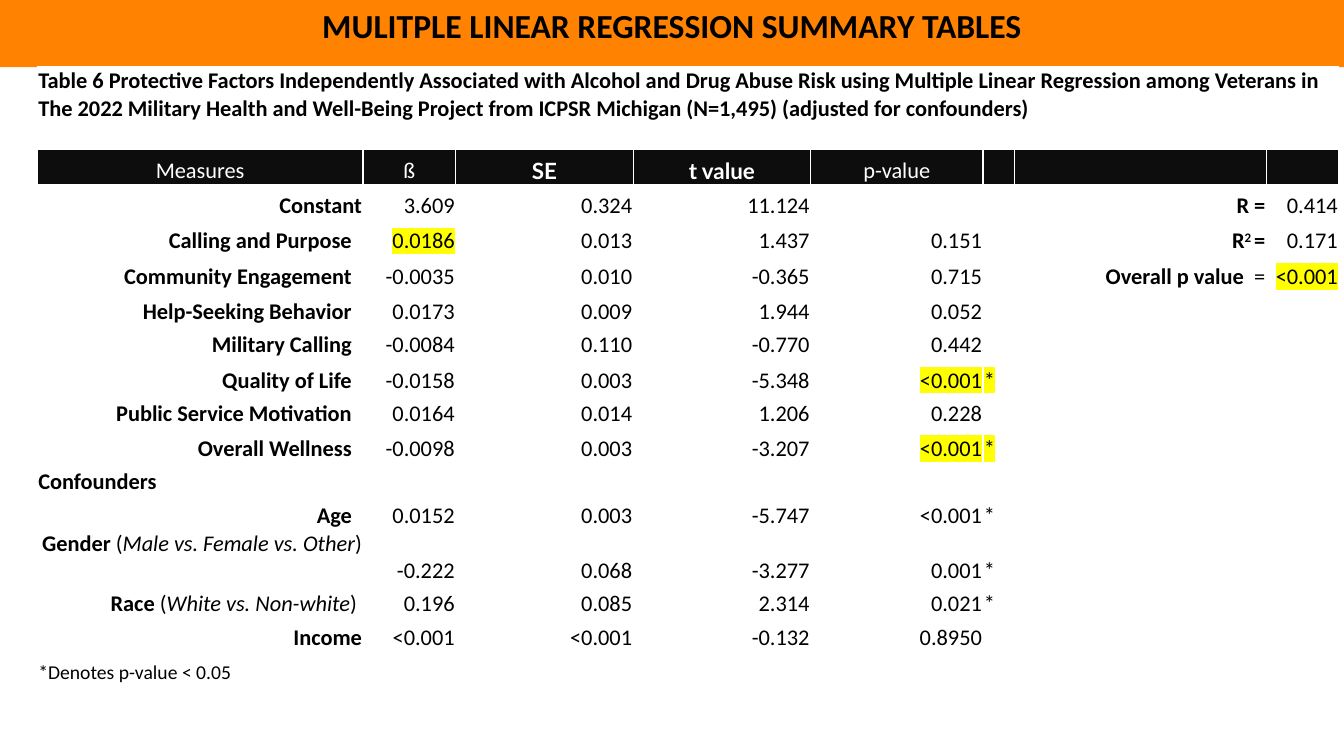
from lxml.etree import SubElement
from pptx import Presentation
from pptx.dml.color import RGBColor
from pptx.enum.text import MSO_ANCHOR as Anchor, MSO_AUTO_SIZE as AutoSize, PP_ALIGN as Align
from pptx.oxml import parse_xml
from pptx.oxml.ns import nsdecls, qn
from pptx.util import Pt

TITLE = "MULITPLE LINEAR REGRESSION SUMMARY TABLES"
CAPTION = (
    "Table 6 Protective Factors Independently Associated with Alcohol and Drug Abuse Risk "
    "using Multiple Linear Regression among Veterans in The 2022 Military Health and "
    "Well-Being Project from ICPSR Michigan (N=1,495) (adjusted for confounders)"
)
FOOTNOTE = "*Denotes p-value < 0.05"
HEADINGS = ["Measures", "ß", "SE", "t value", "p-value"]
LATO_HEADINGS = ("SE", "t value")

# Style letters: b bold, i italic, h highlighted, ^ superscript
GENDER = [("Gender ", "b"), ("(", ""), ("Male vs. Female vs. Other", "i"), (")", "")]
RACE = [("Race", "b"), (" (", ""), ("White vs. Non-white", "i"), (")", "")]

# Label, gap to the right of the label, then ß, SE, t value, p-value, star
MEASURES = [
    ("Constant", 0, "3.609", "0.324", "11.124"),
    ("Calling and Purpose", 10, [("0.0186", "h")], "0.013", "1.437", "0.151"),
    ("Community Engagement", 10, "-0.0035", "0.010", "-0.365", "0.715"),
    ("Help-Seeking Behavior", 10, "0.0173", "0.009", "1.944", "0.052"),
    ("Military Calling", 10, "-0.0084", "0.110", "-0.770", "0.442"),
    ("Quality of Life", 10, "-0.0158", "0.003", "-5.348", [("<0.001", "h")], [("*", "h")]),
    ("Public Service Motivation", 10, "0.0164", "0.014", "1.206", "0.228"),
    ("Overall Wellness", 10, "-0.0098", "0.003", "-3.207", [("<0.001", "h")], [("*", "h")]),
    ("Confounders", 0),
    ("Age", 10, "0.0152", "0.003", "-5.747", "<0.001", "*"),
    (GENDER, 0, "-0.222", "0.068", "-3.277", "0.001", "*"),
    (RACE, 5, "0.196", "0.085", "2.314", "0.021", "*"),
    ("Income", 0, "<0.001", "<0.001", "-0.132", "0.8950"),
]
MODEL_FIT = [
    ([("R =", "b")], "0.414"),
    ([("R", "b"), ("2 ", "b^"), ("=", "b")], "0.171"),
    ([("Overall p value ", "b"), (" =", "")], [("<0.001", "h")]),
]

COLORS = {"banner": "FF8300", "header": "0D0D0D", "paper": "FFFFFF",
          "ink": "000000", "mark": "FFFF00"}
PX = 9144  # EMU, 100 px to the inch
SLIDE = (1333, 750)
BANNER = (0, 0, 1333, 50)
TABLE_AT = (37, 66)
COLUMNS = [323, 92, 176, 176, 171, 31, 250, 72]
ROWS = [82, 35, 35, 35, 35, 35, 33, 35, 33, 35, 33, 33, 55, 33, 33, 33, 59]
FIRST_MEASURE = 2
STAR_COLUMN, FIT_COLUMN = 5, 6


def rgb(name):
    return RGBColor.from_string(COLORS[name])


def add_span(para, text, style="", size=16, font="Calibri", color="ink"):
    span = para.add_run()
    span.text = text
    formats = {"size": Pt(size), "name": font, "bold": "b" in style, "italic": "i" in style}
    for key, value in formats.items():
        setattr(span.font, key, value)
    span.font.color.rgb = rgb(color)
    properties = span._r.get_or_add_rPr()
    if "^" in style:
        properties.set("baseline", "30000")
    if "h" in style:
        properties.find(qn("a:solidFill")).addnext(parse_xml(
            f'<a:highlight {nsdecls("a")}><a:srgbClr val="{COLORS["mark"]}"/></a:highlight>'))


def fill_cell(cell, content, align=Align.RIGHT, style="", **span_format):
    """Write a string, or a list of (text, style) spans, into a cell."""
    para = cell.text_frame.paragraphs[0]
    para.alignment = align
    spans = [(content, style)] if isinstance(content, str) else content
    for text, span_style in spans:
        add_span(para, text, span_style, **span_format)


def prepare_cell(cell, fill):
    margins = {"margin_left": 1, "margin_right": 1, "margin_top": 1, "margin_bottom": 0}
    for key, value in margins.items():
        setattr(cell, key, value * PX)
    cell.vertical_anchor = Anchor.BOTTOM
    cell.fill.solid()
    cell.fill.fore_color.rgb = rgb(fill)
    properties = cell._tc.get_or_add_tcPr()
    for index, side in enumerate("LRTB"):
        line = parse_xml(f'<a:ln{side} {nsdecls("a")} w="12700"/>')
        SubElement(SubElement(line, qn("a:solidFill")), qn("a:srgbClr"), val=COLORS["paper"])
        properties.insert(index, line)
    # Keeps empty cells from stretching their row
    cell.text_frame.paragraphs[0]._p.get_or_add_endParaRPr().set("sz", "1600")


def add_banner(page):
    banner = page.shapes.title
    for key, value in zip(("left", "top", "width", "height"), BANNER):
        setattr(banner, key, value * PX)
    banner.fill.solid()
    banner.fill.fore_color.rgb = rgb("banner")
    frame = banner.text_frame
    formats = {"word_wrap": True, "auto_size": AutoSize.SHAPE_TO_FIT_TEXT,
               "vertical_anchor": Anchor.MIDDLE}
    for key, value in formats.items():
        setattr(frame, key, value)
    para = frame.paragraphs[0]
    para.alignment = Align.CENTER
    para.line_spacing = 1.0
    add_span(para, TITLE, "b", size=24)


def add_summary_table(page):
    frame = page.shapes.add_table(
        len(ROWS), len(COLUMNS), *(value * PX for value in (*TABLE_AT, sum(COLUMNS), sum(ROWS))))
    table = frame.table
    table.first_row = table.horz_banding = False
    for column, width in zip(table.columns, COLUMNS):
        column.width = width * PX
    for index, (row, height) in enumerate(zip(table.rows, ROWS)):
        row.height = height * PX
        for cell in row.cells:
            prepare_cell(cell, "header" if index == 1 else "paper")

    last_row, last_column = len(ROWS) - 1, len(COLUMNS) - 1
    for row in (0, last_row):
        table.cell(row, 0).merge(table.cell(row, last_column))
    caption = table.cell(0, 0)
    caption.vertical_anchor = Anchor.TOP
    fill_cell(caption, CAPTION, Align.LEFT, "b")

    for column, heading in enumerate(HEADINGS):
        in_lato = heading in LATO_HEADINGS
        fill_cell(table.cell(1, column), heading, Align.CENTER, "b" if in_lato else "",
                  font="Lato" if in_lato else "Calibri", color="paper")

    for row, (label, gap, *values) in enumerate(MEASURES, FIRST_MEASURE):
        label_cell = table.cell(row, 0)
        label_cell.margin_right = (1 + gap) * PX
        if label is GENDER:
            label_cell.vertical_anchor = Anchor.TOP
        fill_cell(label_cell, label, Align.RIGHT if values else Align.LEFT, "b")
        for column, value in enumerate(values, 1):
            fill_cell(table.cell(row, column), value,
                      Align.LEFT if column == STAR_COLUMN else Align.RIGHT)

    for row, pair in enumerate(MODEL_FIT, FIRST_MEASURE):
        for column, content in enumerate(pair, FIT_COLUMN):
            fill_cell(table.cell(row, column), content)
    fill_cell(table.cell(last_row - 1, 0), FOOTNOTE, Align.LEFT, size=14)


def main():
    deck = Presentation()
    deck.slide_width, deck.slide_height = (value * PX for value in SLIDE)
    page = deck.slides.add_slide(deck.slide_layouts[5])
    add_banner(page)
    add_summary_table(page)
    deck.save("out.pptx")


if __name__ == "__main__":
    main()
